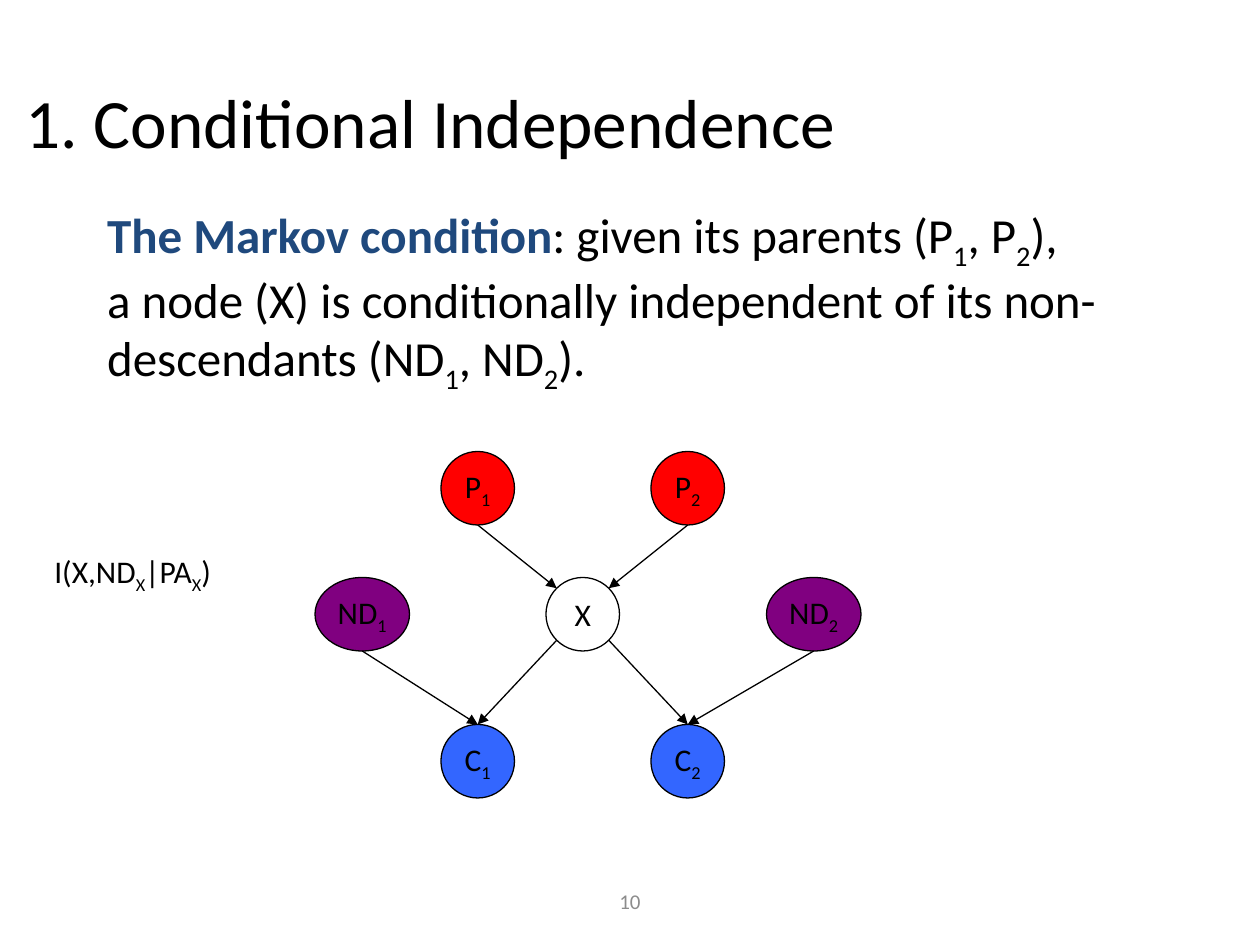
import math
import pptx
import pptx.util
import pptx.oxml.ns
import pptx.oxml.xmlchemy
import pptx.dml.color
import pptx.enum.text
import pptx.enum.shapes

Pt = pptx.util.Pt
ALIGN = pptx.enum.text.PP_ALIGN
ANCHOR = pptx.enum.text.MSO_ANCHOR
FONT = "Calibri"
COLORS = {
    "black": "000000",
    "navy": "1F497D",
    "gray": "8C8C8C",
    "red": "FF0000",
    "blue": "3366FF",
    "purple": "800080",
}
SIZE = 42
NODES = {
    "X": (333, 330, SIZE, None),
    "P_1": (273, 258, SIZE, "red"),
    "P_2": (393, 258, SIZE, "red"),
    "C_1": (273, 414, SIZE, "blue"),
    "C_2": (393, 414, SIZE, "blue"),
    "ND_2": (465, 330, 54, "purple"),
    "ND_1": (207, 330, 54, "purple"),
}
SITES = {"top": 270, "bottom": 90, "nw": 225, "ne": 315, "sw": 135, "se": 45}
EDGES = [
    ("P_1", "bottom", "X", "nw"),
    ("P_2", "bottom", "X", "ne"),
    ("X", "se", "C_2", "top"),
    ("X", "sw", "C_1", "top"),
    ("ND_1", "bottom", "C_1", "top"),
    ("ND_2", "bottom", "C_2", "top"),
]
MARKOV = [
    "*The Markov condition*: given its parents (P_1_, P_2_),",
    "a node (X) is conditionally independent of its non-descendants (ND_1_, ND_2_).",
]


def color(name):
    return pptx.dml.color.RGBColor.from_string(COLORS[name])


def make(tag):
    return pptx.oxml.xmlchemy.OxmlElement(tag)


def style(run, size, name="black"):
    run.font.name = FONT
    run.font.size = Pt(size)
    run.font.color.rgb = color(name)


def write(para, text, size):
    for i, part in enumerate(text.split("*")):
        strong = i % 2 == 1
        for j, piece in enumerate(part.split("_")):
            if not piece:
                continue
            run = para.add_run()
            run.text = piece
            style(run, size, "navy" if strong else "black")
            run.font.bold = strong
            if j % 2:
                run._r.get_or_add_rPr().set("baseline", "-25000")


def place(shape, left, top, width, height):
    shape.left, shape.top = Pt(left), Pt(top)
    shape.width, shape.height = Pt(width), Pt(height)


def add_title(slide):
    title = slide.shapes.title
    place(title, -18, 24, 528, 90)
    frame = title.text_frame
    frame.text = "1. Conditional Independence"
    frame.vertical_anchor = ANCHOR.MIDDLE
    frame.paragraphs[0].alignment = ALIGN.CENTER
    style(frame.paragraphs[0].runs[0], 39.6)


def add_body(slide):
    body = slide.placeholders[1]
    place(body, 54, 114, 618, 108)
    frame = body.text_frame
    frame.auto_size = pptx.enum.text.MSO_AUTO_SIZE.NONE
    for i, text in enumerate(MARKOV):
        para = frame.add_paragraph() if i else frame.paragraphs[0]
        para.line_spacing = 0.9
        para.space_before = Pt(5.6)
        props = para._p.get_or_add_pPr()
        props.set("marL", "0")
        props.set("indent", "0")
        props.append(make("a:buNone"))
        write(para, text, 28)


def add_label(slide, text, left, top, width, height):
    box = slide.shapes.add_textbox(Pt(left), Pt(top), Pt(width), Pt(height))
    box.text_frame.word_wrap = True
    write(box.text_frame.paragraphs[0], text, 18)


def add_number(slide):
    box = slide.shapes.add_textbox(Pt(246), Pt(500.5), Pt(228), Pt(28.75))
    frame = box.text_frame
    frame.word_wrap = True
    frame.vertical_anchor = ANCHOR.MIDDLE
    frame.text = "10"
    frame.paragraphs[0].alignment = ALIGN.CENTER
    style(frame.paragraphs[0].runs[0], 12, "gray")


def add_node(slide, text, mid, top, width, fill):
    node = slide.shapes.add_shape(
        pptx.enum.shapes.MSO_SHAPE.OVAL,
        Pt(mid - width / 2), Pt(top), Pt(width), Pt(SIZE))
    node.shadow.inherit = False
    if fill:
        node.fill.solid()
        node.fill.fore_color.rgb = color(fill)
    else:
        node.fill.background()
    node.line.color.rgb = color("black")
    node.line.width = Pt(0.75)
    frame = node.text_frame
    frame.word_wrap = False
    frame.vertical_anchor = ANCHOR.MIDDLE
    para = frame.paragraphs[0]
    para.alignment = ALIGN.CENTER
    write(para, text, 18)


def find_site(node, site):
    mid, top, width, _ = NODES[node]
    angle = math.radians(SITES[site])
    return (Pt(mid + width / 2 * math.cos(angle)),
            Pt(top + SIZE / 2 * (1 + math.sin(angle))))


def add_arrow(slide, start, end):
    arrow = slide.shapes.add_connector(
        pptx.enum.shapes.MSO_CONNECTOR.STRAIGHT, *start, *end)
    arrow.line.color.rgb = color("black")
    arrow.line.width = Pt(0.75)
    tail = make("a:tailEnd")
    tail.set("type", "triangle")
    props = arrow._element.spPr
    props.find(pptx.oxml.ns.qn("a:ln")).append(tail)
    props.append(make("a:effectLst"))


def main():
    deck = pptx.Presentation()
    deck.slide_width, deck.slide_height = Pt(720), Pt(540)
    slide = deck.slides.add_slide(deck.slide_layouts[1])
    add_number(slide)
    add_title(slide)
    add_body(slide)
    for text, node in NODES.items():
        add_node(slide, text, *node)
    for tail, out, head, into in EDGES:
        add_arrow(slide, find_site(tail, out), find_site(head, into))
    add_label(slide, "I(X,ND_X_|PA_X_)", 24, 312, 144, 51)
    deck.save("out.pptx")


if __name__ == "__main__":
    main()
